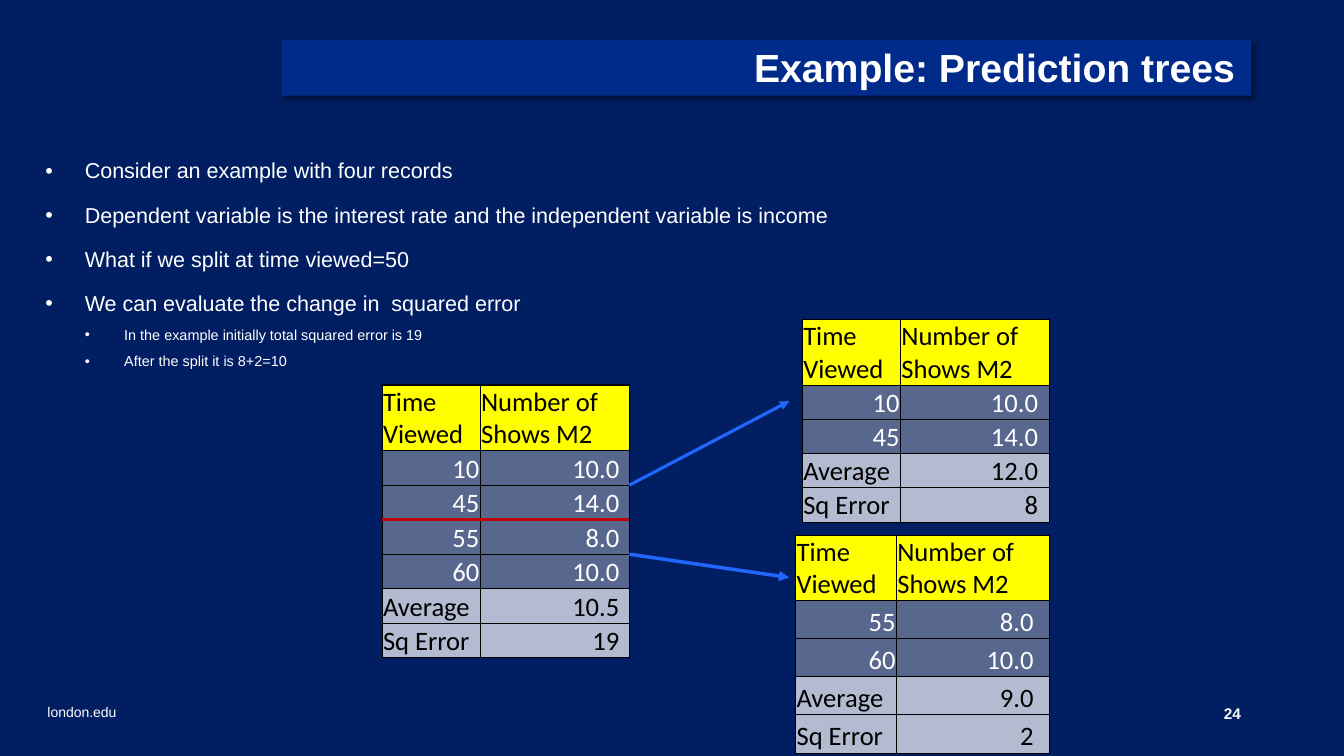
from dataclasses import dataclass

from lxml import etree
from pptx import Presentation
from pptx.dml.color import RGBColor
from pptx.enum.shapes import MSO_CONNECTOR
from pptx.enum.text import MSO_ANCHOR, MSO_AUTO_SIZE, PP_ALIGN
from pptx.oxml.ns import qn
from pptx.util import Inches, Length, Pt

LEFT, RIGHT = PP_ALIGN.LEFT, PP_ALIGN.RIGHT
TOP, MIDDLE, BOTTOM = MSO_ANCHOR.TOP, MSO_ANCHOR.MIDDLE, MSO_ANCHOR.BOTTOM
FIXED = MSO_AUTO_SIZE.NONE
STRAIGHT = MSO_CONNECTOR.STRAIGHT
WIDE, HIGH = Inches(13.333), Inches(7.5)


@dataclass(frozen=True)
class Theme:
    back: str = "001E61"
    bar: str = "002B8A"
    white: str = "FFFFFF"
    pale: str = "F6F6F6"
    black: str = "000000"
    head: str = "FFFF00"
    data: str = "57678D"
    sums: str = "B2BBD0"
    arrow: str = "2066FF"
    split: str = "C00000"
    sans: str = "Arial"
    grid: str = "Calibri"
    title: float = 28
    item: float = 15.4
    sub: float = 10.3
    cell: float = 19
    page: float = 11
    site: float = 10


THEME = Theme()


@dataclass(frozen=True)
class Box:
    """A frame in percent of the slide's width and height."""
    x: float
    y: float
    w: float
    h: float


@dataclass(frozen=True)
class Grid:
    """A table: place and sizes in percent of the slide, pad in points."""
    x: float
    y: float
    cols: tuple[float, float]
    row: float
    pad: float
    data: tuple[tuple[str, str], ...]
    sums: tuple[tuple[str, str], ...]
    head: float = 8.67

    @property
    def right(self) -> float:
        return self.x + sum(self.cols)

    def seam(self, count: int) -> float:
        """Height of the line below the given number of data rows."""
        return self.y + self.head + count * self.row


@dataclass(frozen=True)
class Line:
    start: tuple[float, float]
    end: tuple[float, float]
    color: str
    width: float
    arrow: bool = True


HEADS = ("Time Viewed", "Number of Shows M2")
LOW = (("10", "10.0"), ("45", "14.0"))
LATE = (("55", "8.0"), ("60", "10.0"))
ALL = Grid(28.43, 50.93, (7.3, 11.1), 4.57, 7.2, LOW + LATE,
           (("Average", "10.5"), ("Sq Error", "19")))
GRIDS = (
    ALL,
    Grid(59.7, 42.27, (7.3, 11.07), 4.53, 8, LOW,
         (("Average", "12.0"), ("Sq Error", "8"))),
    Grid(59.2, 70.8, (7.5, 11.4), 5.03, 11.5, LATE,
         (("Average", "9.0"), ("Sq Error", "2"))),
)
LINES = (
    Line((ALL.right, ALL.seam(1)), (58.73, 53.07), THEME.arrow, 2.25),
    Line((ALL.right, ALL.seam(3)), (58.73, 76.4), THEME.arrow, 2.5),
    Line((ALL.x, ALL.seam(2)), (ALL.right, ALL.seam(2)),
         THEME.split, 2.25, False),
)
ITEMS = (
    (0, "Consider an example with four records"),
    (0, "Dependent variable is the interest rate and the independent variable is income"),
    (0, "What if we split at time viewed=50"),
    (0, "We can evaluate the change in  squared error"),
    (1, "In the example initially total squared error is 19"),
    (1, "After the split it is 8+2=10"),
)


def across(share: float) -> Length:
    return Length(round(WIDE * share / 100))


def down(share: float) -> Length:
    return Length(round(HIGH * share / 100))


def place(shape, box: Box) -> None:
    shape.left, shape.top = across(box.x), down(box.y)
    shape.width, shape.height = across(box.w), down(box.h)


def paint(fill, color: str) -> None:
    fill.solid()
    fill.fore_color.rgb = RGBColor.from_string(color)


def style(para, face: str, size: float, color: str, bold: bool = False) -> None:
    font = para.font
    font.name, font.size, font.bold = face, Pt(size), bold
    font.color.rgb = RGBColor.from_string(color)


def frame(shape, anchor, pads: tuple[float, float, float, float]):
    """Set wrapping, anchor and insets (left, top, right, bottom) in points."""
    text = shape.text_frame
    text.word_wrap, text.auto_size, text.vertical_anchor = True, FIXED, anchor
    text.margin_left, text.margin_top, text.margin_right, text.margin_bottom = map(Pt, pads)
    return text


def add_title(shape) -> None:
    place(shape, Box(21, 5.33, 72.08, 7.33))
    props = shape.element.spPr
    etree.SubElement(props, qn("a:prstGeom"), prst="rect")
    paint(shape.fill, THEME.bar)
    fx = etree.SubElement(props, qn("a:effectLst"))
    shade = etree.SubElement(fx, qn("a:outerShdw"), blurRad=str(Pt(4)),
                             dist=str(Pt(3)), dir="2700000")
    tint = etree.SubElement(shade, qn("a:srgbClr"), val=THEME.black)
    etree.SubElement(tint, qn("a:alpha"), val="40000")
    para = frame(shape, TOP, (7.2, 5.8, 11.5, 5.8)).paragraphs[0]
    para.text, para.alignment, para.line_spacing = "Example: Prediction trees", RIGHT, 0.9
    style(para, THEME.sans, THEME.title, THEME.white, True)


def add_list(shape) -> None:
    place(shape, Box(3.38, 20.13, 89.78, 34.53))
    text = frame(shape, TOP, (0, 5.8, 0, 5.8))
    for i, (level, words) in enumerate(ITEMS):
        para = text.add_paragraph() if i else text.paragraphs[0]
        para.text, para.level = words, level
        props = para._p.get_or_add_pPr()
        props.set("marL", str(across(2.93 * (level + 1))))
        props.set("indent", str(-across(2.93)))
        etree.SubElement(props, qn("a:buChar"), char="•")
        para.alignment, para.line_spacing = LEFT, 0.9
        para.space_before = Pt((8 if level else 15) if i else 0)
        style(para, THEME.sans, THEME.sub if level else THEME.item, THEME.white)


def add_label(slide, box: Box, words: str, size: float, color: str, anchor,
              align, left: float, bold: bool = False) -> None:
    shape = slide.shapes.add_textbox(0, 0, 0, 0)
    place(shape, box)
    para = frame(shape, anchor, (left, 3.6, 7.2, 3.6)).paragraphs[0]
    para.text, para.alignment = words, align
    style(para, THEME.sans, size, color, bold)


def add_grid(slide, grid: Grid) -> None:
    rows = ([(HEADS, THEME.head, THEME.black)]
            + [(pair, THEME.data, THEME.white) for pair in grid.data]
            + [(pair, THEME.sums, THEME.black) for pair in grid.sums])
    high = grid.seam(len(rows) - 1) - grid.y
    table = slide.shapes.add_table(len(rows), 2, across(grid.x), down(grid.y),
                                   across(sum(grid.cols)), down(high)).table
    table.first_row = table.horz_banding = False
    for col, wide in zip(table.columns, grid.cols):
        col.width = across(wide)
    for r, (pair, fill, ink) in enumerate(rows):
        table.rows[r].height = down(grid.row if r else grid.head)
        for c, words in enumerate(pair):
            cell = table.cell(r, c)
            thick = {"L" if c == 0 else "R"} if fill != THEME.sums else set()
            if r == 0:
                thick.add("T")
            for side in "LRTB":
                edge = etree.SubElement(cell._tc.get_or_add_tcPr(), qn("a:ln" + side),
                                        w=str(Pt(1 if side in thick else 0.5)))
                paint_xml = etree.SubElement(edge, qn("a:solidFill"))
                etree.SubElement(paint_xml, qn("a:srgbClr"), val=THEME.black)
            paint(cell.fill, fill)
            cell.vertical_anchor = BOTTOM
            cell.margin_left = cell.margin_top = Pt(0.7)
            cell.margin_right = Pt(grid.pad if r and c else 0.7)
            cell.margin_bottom = 0
            para = cell.text_frame.paragraphs[0]
            para.text = words
            para.alignment = RIGHT if r and (c or fill == THEME.data) else LEFT
            style(para, THEME.grid, THEME.cell, ink)


def add_line(slide, line: Line) -> None:
    (x1, y1), (x2, y2) = line.start, line.end
    shape = slide.shapes.add_connector(STRAIGHT, across(x1), down(y1), across(x2), down(y2))
    shape.line.width = Pt(line.width)
    paint(shape.line.fill, line.color)
    if line.arrow:
        etree.SubElement(shape.line._get_or_add_ln(), qn("a:tailEnd"), type="triangle")
    etree.SubElement(shape._element.spPr, qn("a:effectLst"))


def main() -> None:
    deck = Presentation()
    deck.slide_width, deck.slide_height = WIDE, HIGH
    slide = deck.slides.add_slide(deck.slide_layouts[1])
    paint(slide.background.fill, THEME.back)
    add_title(slide.shapes.title)
    add_list(slide.placeholders[1])
    add_label(slide, Box(89.25, 92.67, 3.83, 3.47), "24", THEME.page, THEME.pale,
              MIDDLE, RIGHT, 7.2, True)
    add_label(slide, Box(3.53, 89.87, 18.3, 6.13), "london.edu", THEME.site, THEME.white,
              BOTTOM, LEFT, 0)
    for grid in GRIDS:
        add_grid(slide, grid)
    for line in LINES:
        add_line(slide, line)
    deck.save("out.pptx")


if __name__ == "__main__":
    main()
